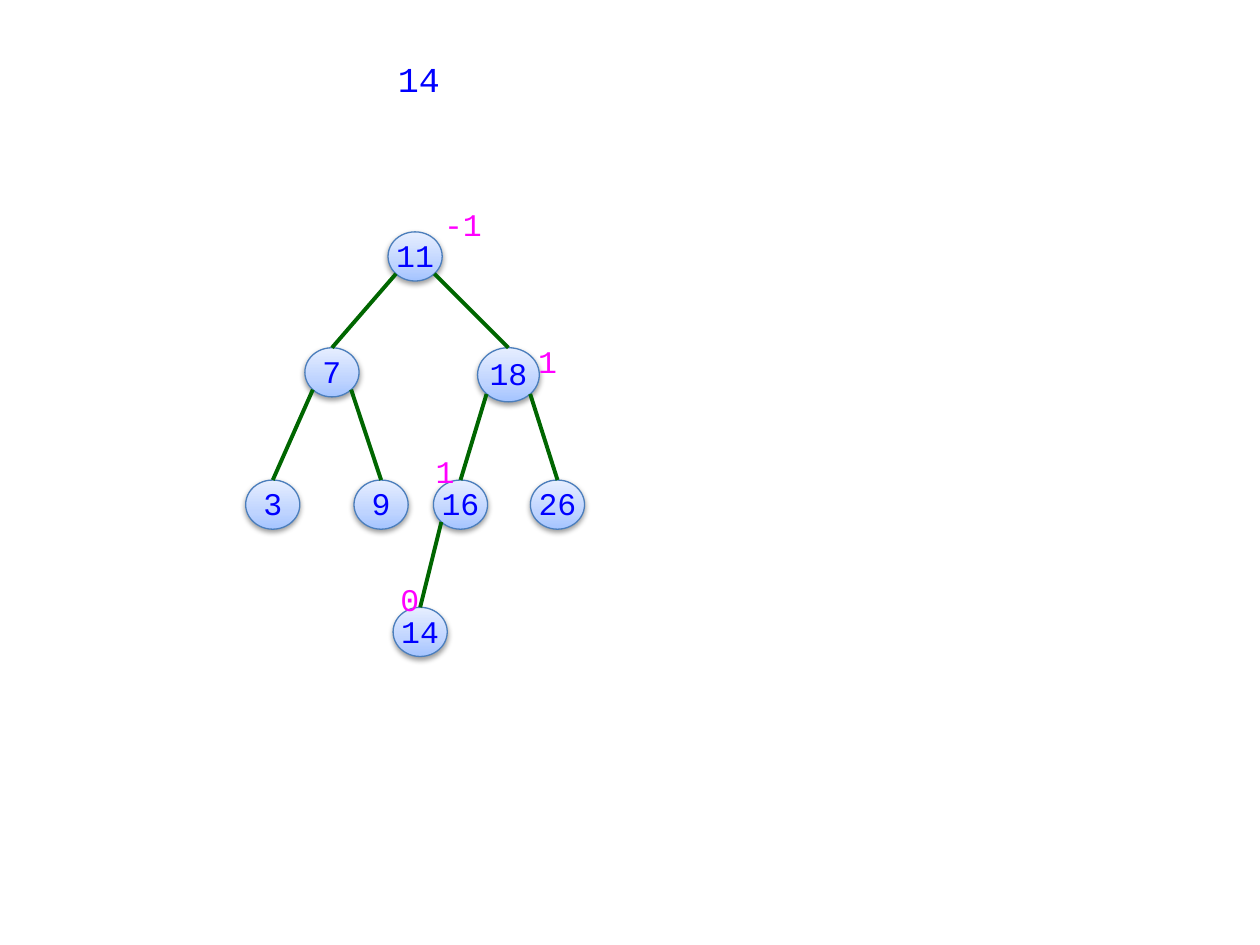
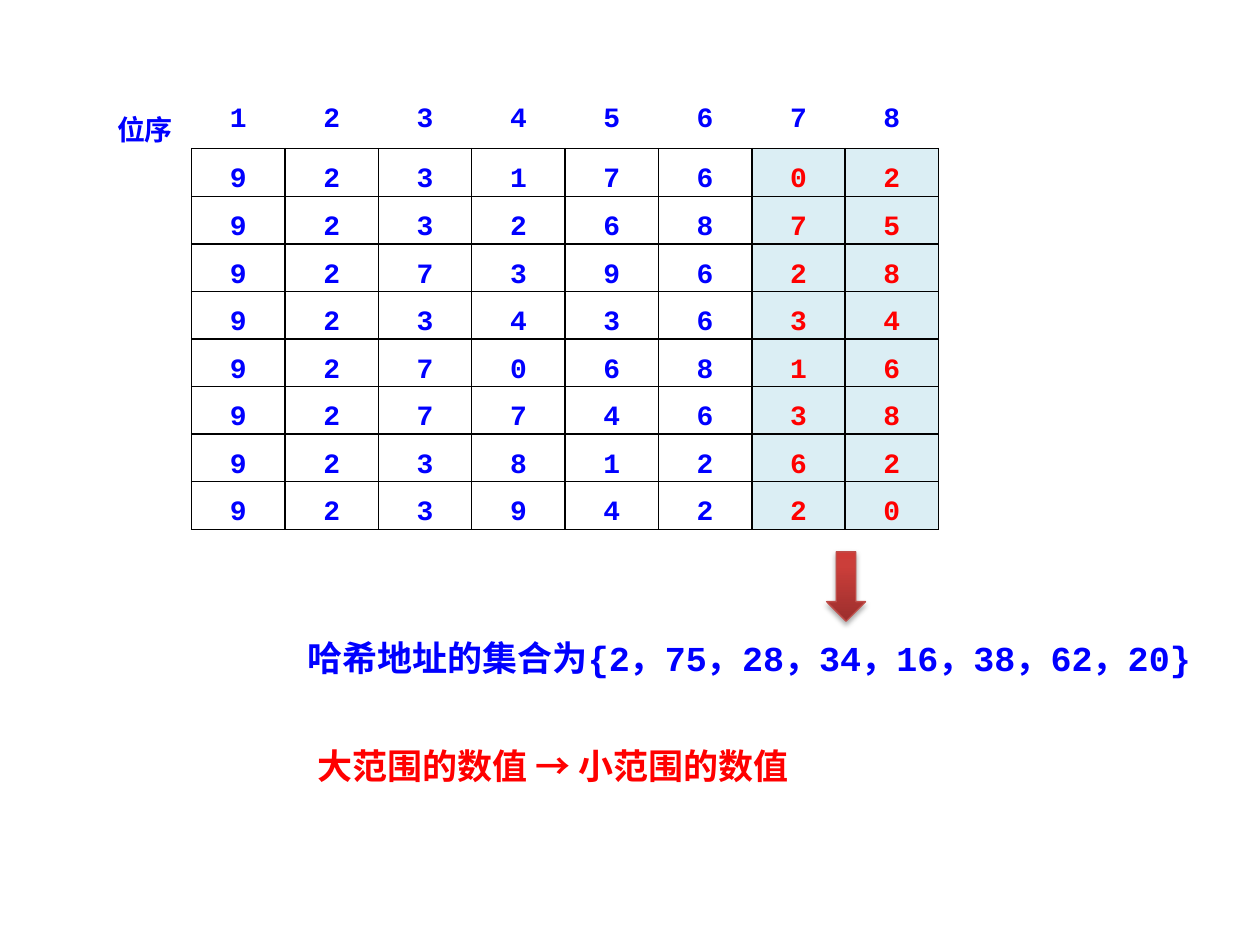
"""Build two slides: a balanced search tree and a hash address table."""
from lxml.etree import SubElement
from math import sqrt
from pptx import Presentation
from pptx.dml.color import RGBColor
from pptx.enum.shapes import MSO_CONNECTOR, MSO_SHAPE
from pptx.enum.text import MSO_ANCHOR, MSO_AUTO_SIZE, PP_ALIGN
from pptx.oxml import parse_xml
from pptx.oxml.ns import nsdecls, qn
from pptx.util import Inches, Pt

BLUE, RED, MAGENTA, GREEN = "0000FF", "FF0000", "FF00FF", "006600"
BLACK, PALE = "000000", "DBEEF4"
CODE_FONT, CHINESE_FONT = "Courier New", "Noto Sans CJK SC"


def write(frame, text, size, color, align=PP_ALIGN.CENTER, spacing=1.0, bold=False, font=CODE_FONT):
    """Put one formatted paragraph in a text frame."""
    para = frame.paragraphs[0]
    para.add_run().text = text
    para.alignment = align
    para.line_spacing = spacing
    para.font.size = Pt(size)
    para.font.bold = bold
    para.font.name = font
    para.font.color.rgb = RGBColor.from_string(color)
    properties = para._p.pPr.find(qn("a:defRPr"))
    SubElement(properties, qn("a:ea")).set("typeface", CHINESE_FONT)


def make_glossy(shape, stops, line_color, shadow_alpha, shadow_distance):
    """Give a shape an upward gradient, a thin outline and a soft shadow."""
    stop_xml = "".join(
        f'<a:gs pos="{position * 1000}"><a:srgbClr val="{color}"/></a:gs>' for position, color in stops)
    shape._element.spPr.append(parse_xml(
        f'<a:gradFill {nsdecls("a")} rotWithShape="1"><a:gsLst>{stop_xml}</a:gsLst>'
        '<a:lin ang="16200000" scaled="0"/></a:gradFill>'))
    shape.line.color.rgb = RGBColor.from_string(line_color)
    shape.line.width = Pt(0.75)
    shape._element.spPr.append(parse_xml(
        f'<a:effectLst {nsdecls("a")}><a:outerShdw blurRad="{Pt(3.1)}" dist="{Pt(shadow_distance)}" '
        f'dir="5400000" rotWithShape="0"><a:srgbClr val="{BLACK}"><a:alpha val="{shadow_alpha * 1000}"/>'
        '</a:srgbClr></a:outerShdw></a:effectLst>'))


deck = Presentation()
deck.slide_width, deck.slide_height = Inches(10), Inches(7.5)
blank = deck.slide_layouts[6]

page = deck.slides.add_slide(blank)
small, large = (0.43, 0.39), (0.49, 0.43)
nodes = {}
for key, left, top, size in [
    ("11", 3.08, 1.84, small),
    ("7", 2.42, 2.76, small), ("18", 3.79, 2.76, large),
    ("3", 1.95, 3.81, small), ("9", 2.81, 3.81, small),
    ("16", 3.44, 3.81, small), ("26", 4.21, 3.81, small),
    ("14", 3.12, 4.82, small),
]:
    node = page.shapes.add_shape(MSO_SHAPE.OVAL, Inches(left), Inches(top), *map(Inches, size))
    make_glossy(node, [(0, "A4C4FF"), (35, "BFD4FF"), (100, "E6EEFF")], "4B7EBC", 38, 1.6)
    node.text_frame.word_wrap = False
    node.text_frame.vertical_anchor = MSO_ANCHOR.MIDDLE
    write(node.text_frame, key, 18, BLUE, spacing=Pt(20))
    nodes[key] = node

for parent_key, child_key in [("11", "7"), ("11", "18"), ("7", "3"), ("7", "9"),
                              ("18", "16"), ("18", "26"), ("16", "14")]:
    parent, child = nodes[parent_key], nodes[child_key]
    side = -1 if int(child_key) < int(parent_key) else 1
    start_x = int(parent.left + parent.width / 2 * (1 + side / sqrt(2)))
    start_y = int(parent.top + parent.height / 2 * (1 + 1 / sqrt(2)))
    branch = page.shapes.add_connector(MSO_CONNECTOR.STRAIGHT, start_x, start_y, child.left, child.top)
    branch.end_connect(child, 0)
    branch.line.color.rgb = RGBColor.from_string(GREEN)
    branch.line.width = Pt(2.25)
    SubElement(branch._element.spPr, qn("a:effectLst"))

for text, left, top, width, height, size, color, spacing in [
    ("14", 3.05, 0.47, 0.55, 0.37, 20, BLUE, 0.8),
    ("1", 4.14, 2.69, 0.41, 0.38, 18, MAGENTA, Pt(20)),
    ("0", 3.08, 4.58, 0.28, 0.38, 18, MAGENTA, Pt(20)),
    ("1", 3.36, 3.56, 0.28, 0.38, 18, MAGENTA, Pt(20)),
    ("-1", 3.36, 1.6, 0.63, 0.38, 18, MAGENTA, Pt(20)),
]:
    box = page.shapes.add_textbox(Inches(left), Inches(top), Inches(width), Inches(height))
    box.text_frame.word_wrap = True
    box.text_frame.auto_size = MSO_AUTO_SIZE.SHAPE_TO_FIT_TEXT
    write(box.text_frame, text, size, color, spacing=spacing)

page = deck.slides.add_slide(blank)
keys = ["92317602", "92326875", "92739628", "92343634",
        "92706816", "92774638", "92381262", "92394220"]
rows = [["位序", *"12345678"]] + [["", *key] for key in keys]
table = page.shapes.add_table(len(rows), len(rows[0]), Inches(0.78), Inches(0.7),
                              Inches(6.67), Inches(3.5)).table
table.first_row = table.horz_banding = False
table._tbl.tblPr.find(qn("a:tableStyleId")).text = "{2D5ABB26-0587-4C30-8999-92F81FD0307C}"
for column in table.columns:
    column.width = Inches(6.67 / 9)
for row_number, values in enumerate(rows):
    table.rows[row_number].height = Inches(0.37 if row_number else 0.48)
    for column_number, value in enumerate(values):
        cell = table.cell(row_number, column_number)
        cell.margin_left = cell.margin_right = Inches(0.07)
        cell.margin_top = cell.margin_bottom = 0
        hashed = row_number > 0 and column_number > 6
        if value:
            write(cell.text_frame, value, 16, RED if hashed else BLUE, spacing=1.5, bold=True,
                  font=CHINESE_FONT if value == "位序" else CODE_FONT)
        if row_number and column_number:
            sides = ["L", "R", "T", "B"]
        elif column_number:
            sides = ["B"]
        else:
            sides = ["R"] if row_number else []
        for side in sides:
            cell._tc.get_or_add_tcPr().append(parse_xml(
                f'<a:ln{side} {nsdecls("a")} w="{Pt(1)}"><a:solidFill>'
                f'<a:srgbClr val="{BLACK}"/></a:solidFill></a:ln{side}>'))
        if hashed:
            cell.fill.solid()
            cell.fill.fore_color.rgb = RGBColor.from_string(PALE)
        else:
            cell.fill.background()

arrow = page.shapes.add_shape(MSO_SHAPE.DOWN_ARROW, Inches(6.56), Inches(4.38), Inches(0.31), Inches(0.55))
make_glossy(arrow, [(0, "9C2F2D"), (80, "CB3E3A"), (100, "CE3B37")], "BF4C48", 35, 1.8)

for text, left, top, width, color, font in [
    ("哈希地址的集合为{2，75，28，34，16，38，62，20}", 2.34, 5, 7.27, BLUE, CODE_FONT),
    ("大范围的数值 → 小范围的数值", 2.42, 5.86, 3.98, RED, CHINESE_FONT),
]:
    box = page.shapes.add_textbox(Inches(left), Inches(top), Inches(width), Inches(0.44))
    box.text_frame.word_wrap = True
    box.text_frame.auto_size = MSO_AUTO_SIZE.SHAPE_TO_FIT_TEXT
    write(box.text_frame, text, 20, color, align=PP_ALIGN.LEFT, bold=True, font=font)

deck.save("out.pptx")
